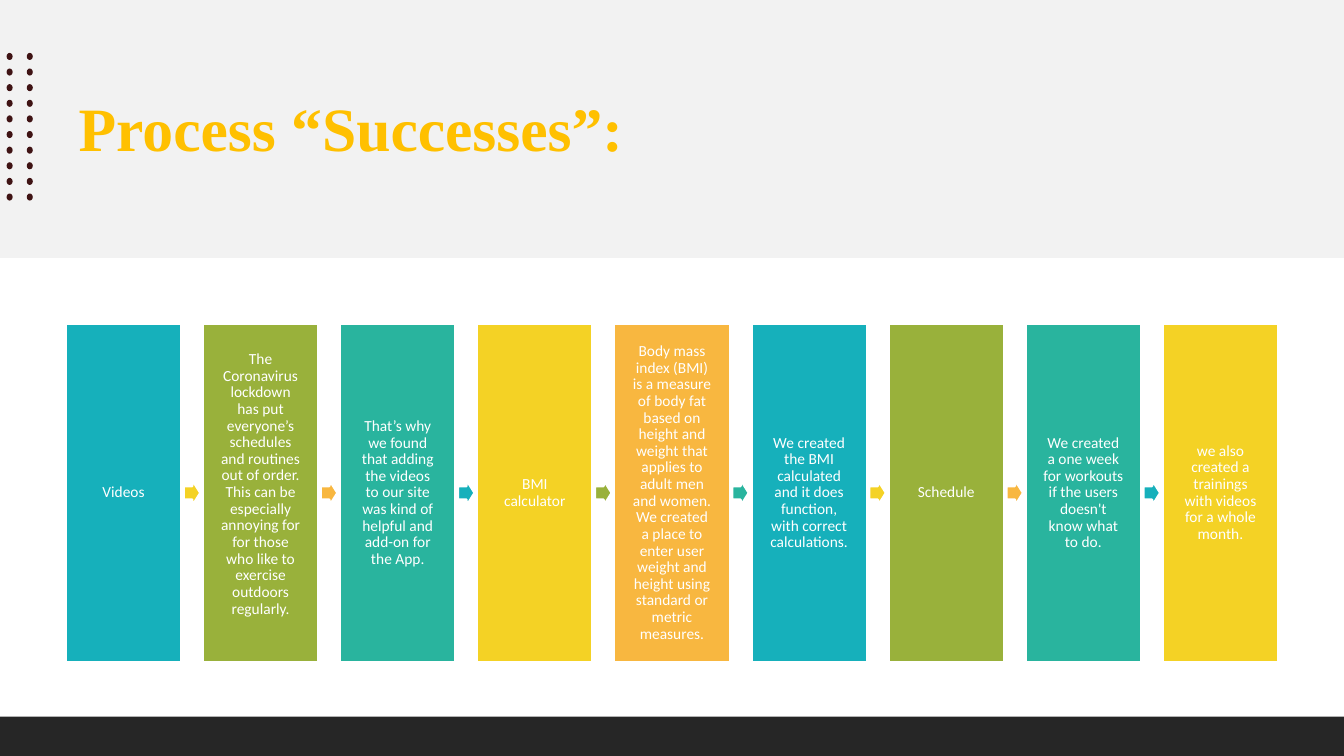
from pptx import Presentation
from pptx.dml.color import RGBColor as RGB
from pptx.enum.shapes import MSO_SHAPE as SHAPE
from pptx.enum.text import MSO_ANCHOR as ANCHOR, PP_ALIGN as ALIGN
from pptx.util import Inches, Pt

THEME = {
    "header": "F2F2F2", "footer": "262626", "dot": "3F1314",
    "title": "FFC000", "white": "FFFFFF",
    "cycle": ["16B0BB", "99B13B", "29B49E", "F4D225", "F8B740"],
    "title_font": "Times New Roman", "title_size": 44,
    "step_font": "Calibri", "step_size": 11, "outline": 2,
}
W, H = 13.33, 7.5

# Process grid: one column per step, an arrow in each gap
LEFT, TOP = 0.65, 3.21
COLUMN, STEP_W, STEP_H = 1.36, 1.15, 3.36
ARROW_W, ARROW_H = 0.17, 0.27
INSET, LAST_LINE = 0.17, 0.17

# Dot grid
DOT_W, DOT_H = 0.07, 0.06
DOT_LEFT, DOT_TOP, DOT_COLUMN, DOT_ROW = 0.06, 0.53, 0.2, 0.155

STEPS = [
    "Videos",
    "The Coronavirus lockdown has put everyone’s schedules and routines out of order. "
    "This can be especially annoying for for those who like to exercise outdoors regularly.",
    "That’s why we found that adding the videos to our site was kind of helpful "
    "and add-on for the App.",
    "BMI calculator",
    "Body mass index (BMI) is a measure of body fat based on height and weight that "
    "applies to adult men and women. We created a place to enter user weight and "
    "height using standard or metric measures.",
    "We created the BMI calculated and it does function, with correct calculations.",
    "Schedule",
    "We created a one week for workouts if the users doesn't know what to do.",
    "we also created a trainings with videos for a whole month.",
]
RAISED = 1  # this step's text sits half a line above the middle


def add_block(shapes, kind, x, y, w, h, fill, outline=None):
    sp = shapes.add_shape(kind, Inches(x), Inches(y), Inches(w), Inches(h))
    sp.shadow.inherit = False
    sp.fill.solid()
    sp.fill.fore_color.rgb = RGB.from_string(fill)
    if outline:
        sp.line.color.rgb = RGB.from_string(outline)
        sp.line.width = Pt(THEME["outline"])
    else:
        sp.line.fill.background()
    return sp


def set_font(p, name, size, color, bold=False):
    p.font.name, p.font.size, p.font.bold = name, Pt(size), bold
    p.font.color.rgb = RGB.from_string(color)


prs = Presentation()
prs.slide_width, prs.slide_height = Inches(W), Inches(H)
s = prs.slides.add_slide(prs.slide_layouts[5])

# Header band, with the title in front of it
header = add_block(s.shapes, SHAPE.RECTANGLE, 0, 0, W, 2.56, THEME["header"])
title = s.shapes.title
header.element.addnext(title.element)
title.left, title.top = Inches(LEFT), Inches(0.37)
title.width, title.height = Inches(W - 2 * LEFT), Inches(1.77)
tf = title.text_frame
tf.text = "Process “Successes”:"
tf.vertical_anchor = ANCHOR.MIDDLE
tf.margin_left = tf.margin_right = Inches(0.13)
tf.margin_top = tf.margin_bottom = Inches(0.07)
p = tf.paragraphs[0]
p.alignment = ALIGN.LEFT
set_font(p, THEME["title_font"], THEME["title_size"], THEME["title"], bold=True)

# Dots at the left edge
dots = s.shapes.add_group_shape()
for row in range(10):
    for col in range(2):
        dot = add_block(dots.shapes, SHAPE.OVAL, DOT_LEFT + col * DOT_COLUMN,
                        DOT_TOP + row * DOT_ROW, DOT_W, DOT_H, THEME["dot"])
        dot.rotation = 90

# Footer band
add_block(s.shapes, SHAPE.RECTANGLE, 0, 7.11, W, H - 7.11, THEME["footer"])

# Process steps and the arrows between them
process = s.shapes.add_group_shape()
cycle = THEME["cycle"]
for i, text in enumerate(STEPS):
    x = LEFT + i * COLUMN
    step = add_block(process.shapes, SHAPE.RECTANGLE, x, TOP, STEP_W, STEP_H,
                     cycle[i % len(cycle)], THEME["white"])
    tf = step.text_frame
    tf.word_wrap = True
    tf.vertical_anchor = ANCHOR.MIDDLE
    tf.margin_left = tf.margin_right = tf.margin_top = Inches(INSET)
    tf.margin_bottom = Inches(INSET + (LAST_LINE if i == RAISED else 0))
    tf.text = text
    p = tf.paragraphs[0]
    p.alignment, p.line_spacing = ALIGN.CENTER, 0.9
    set_font(p, THEME["step_font"], THEME["step_size"], THEME["white"])

    if i < len(STEPS) - 1:
        add_block(process.shapes, SHAPE.RIGHT_ARROW,
                  x + (COLUMN + STEP_W - ARROW_W) / 2, TOP + (STEP_H - ARROW_H) / 2,
                  ARROW_W, ARROW_H, cycle[(i + 3) % len(cycle)], THEME["white"])

prs.save("out.pptx")
